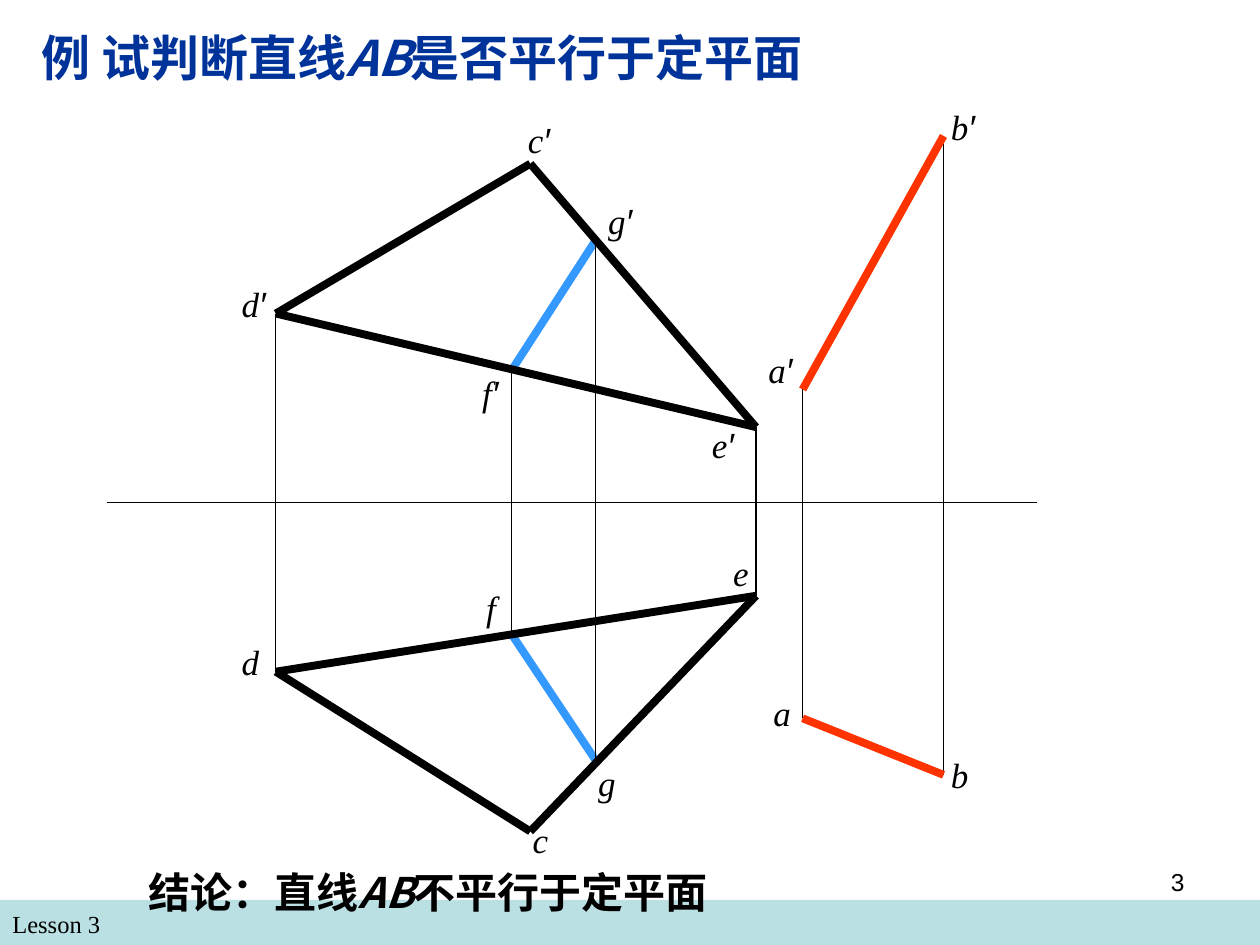
import dataclasses

import lxml.etree
import pptx
import pptx.dml.color
import pptx.enum.shapes
import pptx.enum.text
import pptx.oxml.ns
import pptx.util

Cm = pptx.util.Cm
BLACK = pptx.dml.color.RGBColor(0x00, 0x00, 0x00)
NAVY = pptx.dml.color.RGBColor(0x00, 0x33, 0x99)
BLUE = pptx.dml.color.RGBColor(0x33, 0x99, 0xFF)
RED = pptx.dml.color.RGBColor(0xFF, 0x33, 0x00)
TEAL = pptx.dml.color.RGBColor(0xBB, 0xE0, 0xE3)
CHINESE, SERIF, SANS = "Noto Sans CJK SC", "Times New Roman", "Arial"
THIN, THICK = 0.75, 4.5


@dataclasses.dataclass
class SpacePoint:
    """A point measured from the projection axis, with label offsets, in cm."""
    x: float
    height: float
    depth: float
    front_label: tuple
    top_label: tuple

    def view(self, front):
        """Return the point's place in the front or top view."""
        return self.x, -self.height if front else self.depth


POINTS = {
    "a": SpacePoint(14.02, 2.28, 4.35, (-0.94, -0.94), (-0.84, -0.66)),
    "b": SpacePoint(16.86, 7.39, 5.49, (-0.1, -0.74), (-0.1, -0.56)),
    "c": SpacePoint(8.53, 6.83, 6.63, (-0.3, -1.04), (-0.2, -0.38)),
    "d": SpacePoint(3.4, 3.81, 3.41, (-0.94, -0.74), (-0.94, -0.76)),
    "e": SpacePoint(13.08, 1.52, 1.88, (-1.14, -0.2), (-0.71, -1.02)),
    "f": SpacePoint(8.15, 2.66, 2.65, (-0.84, -0.1), (-0.76, -1.09)),
    "g": SpacePoint(9.85, 5.29, 5.2, (0, -0.94), (-0.2, -0.1)),
}


def add_run(paragraph, text, size, font_name, color=BLACK, bold=False, italic=False):
    """Append a formatted run whose font also covers Chinese text."""
    run = paragraph.add_run()
    run.text = text
    font = run.font
    font.name, font.size = font_name, pptx.util.Pt(size)
    font.bold, font.italic = bold, italic
    font.color.rgb = color
    if font_name == CHINESE:
        east_asian = lxml.etree.SubElement(run._r.rPr, pptx.oxml.ns.qn("a:ea"))
        east_asian.set("typeface", font_name)


def add_text_box(slide, left, top, width, height):
    """Add a wrapping text box and return its first paragraph."""
    frame = slide.shapes.add_textbox(Cm(left), Cm(top), Cm(width), Cm(height)).text_frame
    frame.word_wrap = True
    return frame.paragraphs[0]


def add_sentence(paragraph, before, after, size, color):
    """Write a bold sentence around the italic line name AB."""
    for text, italic in ((before, False), ("AB", True), (after, False)):
        add_run(paragraph, text, size, CHINESE, color, True, italic)


def add_title(slide, left, top, width, height):
    """Place the question in the title placeholder."""
    title = slide.shapes.title
    title.left, title.top, title.width, title.height = map(Cm, (left, top, width, height))
    frame = title.text_frame
    frame.word_wrap = True
    frame.auto_size = pptx.enum.text.MSO_AUTO_SIZE.NONE
    frame.vertical_anchor = pptx.enum.text.MSO_ANCHOR.TOP
    question = frame.paragraphs[0]
    question.alignment = pptx.enum.text.PP_ALIGN.LEFT
    question.line_spacing = 1.0
    add_sentence(question, "例 试判断直线", "是否平行于定平面", 28, NAVY)


def add_footer(slide, left, top, width, height):
    """Draw the footer band with the lesson name and the page number."""
    band = slide.shapes.add_shape(pptx.enum.shapes.MSO_SHAPE.RECTANGLE,
                                  Cm(left), Cm(top), Cm(width), Cm(height))
    band.shadow.inherit = False
    band.fill.solid()
    band.fill.fore_color.rgb = TEAL
    band.line.fill.background()
    lesson = add_text_box(slide, left, top + 0.07, 12.27, 0.86)
    add_run(lesson, "Lesson 3", 14, SERIF)
    page = add_text_box(slide, left + width - 7.19, top - 0.79, 5.92, 1.32)
    page.alignment = pptx.enum.text.PP_ALIGN.RIGHT
    add_run(page, "3", 14, SANS)


def add_projections(slide, left, axis_y, width):
    """Draw both views of the plane CDE and the lines AB and FG around the axis."""
    def add_line(start, end, weight, color=BLACK):
        """Join two places given relative to the left end of the axis."""
        line = slide.shapes.add_connector(
            pptx.enum.shapes.MSO_CONNECTOR.STRAIGHT,
            Cm(left + start[0]), Cm(axis_y + start[1]),
            Cm(left + end[0]), Cm(axis_y + end[1]))
        line.line.width = pptx.util.Pt(weight)
        line.line.color.rgb = color
        lxml.etree.SubElement(line._element.spPr, pptx.oxml.ns.qn("a:effectLst"))

    views = (True, False)
    for front in views:
        add_line(POINTS["f"].view(front), POINTS["g"].view(front), THICK, BLUE)
    add_line((0, 0), (width, 0), THIN)
    for name in "abdefg":
        add_line(POINTS[name].view(True), POINTS[name].view(False), THIN)
    for front in views:
        for start, end, color in (("a", "b", RED), ("c", "d", BLACK),
                                  ("d", "e", BLACK), ("e", "c", BLACK)):
            add_line(POINTS[start].view(front), POINTS[end].view(front), THICK, color)
        for name, point in POINTS.items():
            x, y = point.view(front)
            dx, dy = point.front_label if front else point.top_label
            label = add_text_box(slide, left + x + dx, axis_y + y + dy, 1.32, 1.12)
            add_run(label, name, 20, SERIF, italic=True)
            if front:
                add_run(label, "′", 20, SANS, italic=True)


def add_conclusion(slide, left, top, width, height):
    """State the answer below the drawing."""
    answer = add_text_box(slide, left, top, width, height)
    add_sentence(answer, "结论：直线", "不平行于定平面", 24, BLACK)


def main():
    """Build and save the slide."""
    deck = pptx.Presentation()
    deck.slide_width, deck.slide_height = Cm(25.4), Cm(19.05)
    slide = deck.slides.add_slide(deck.slide_layouts[5])
    add_footer(slide, 0, 18.14, 25.4, 0.91)
    add_projections(slide, 2.16, 10.13, 18.75)
    add_conclusion(slide, 2.74, 17.35, 15.62, 1.27)
    add_title(slide, 0.58, 0.43, 16.26, 1.45)
    deck.save("out.pptx")


if __name__ == "__main__":
    main()
